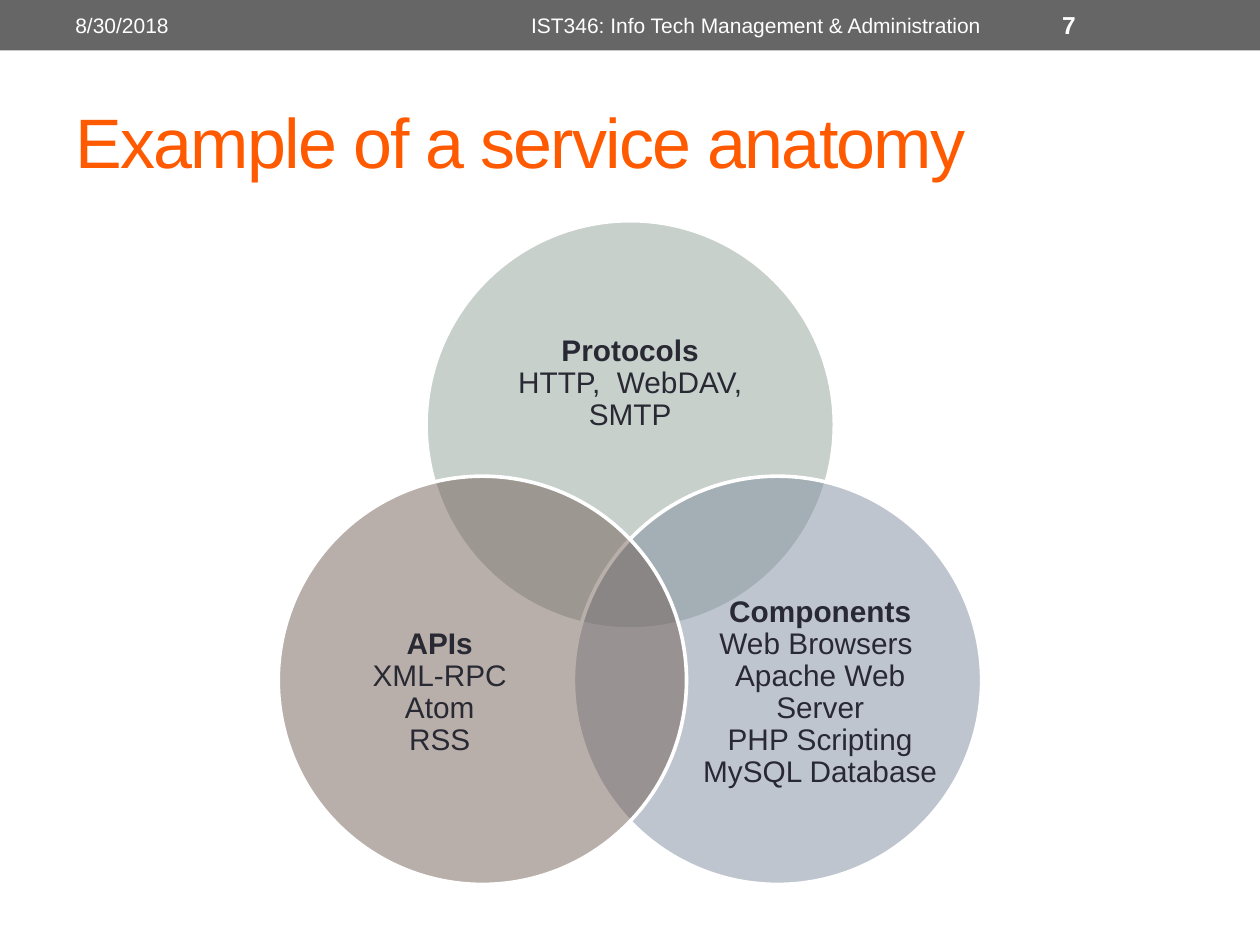
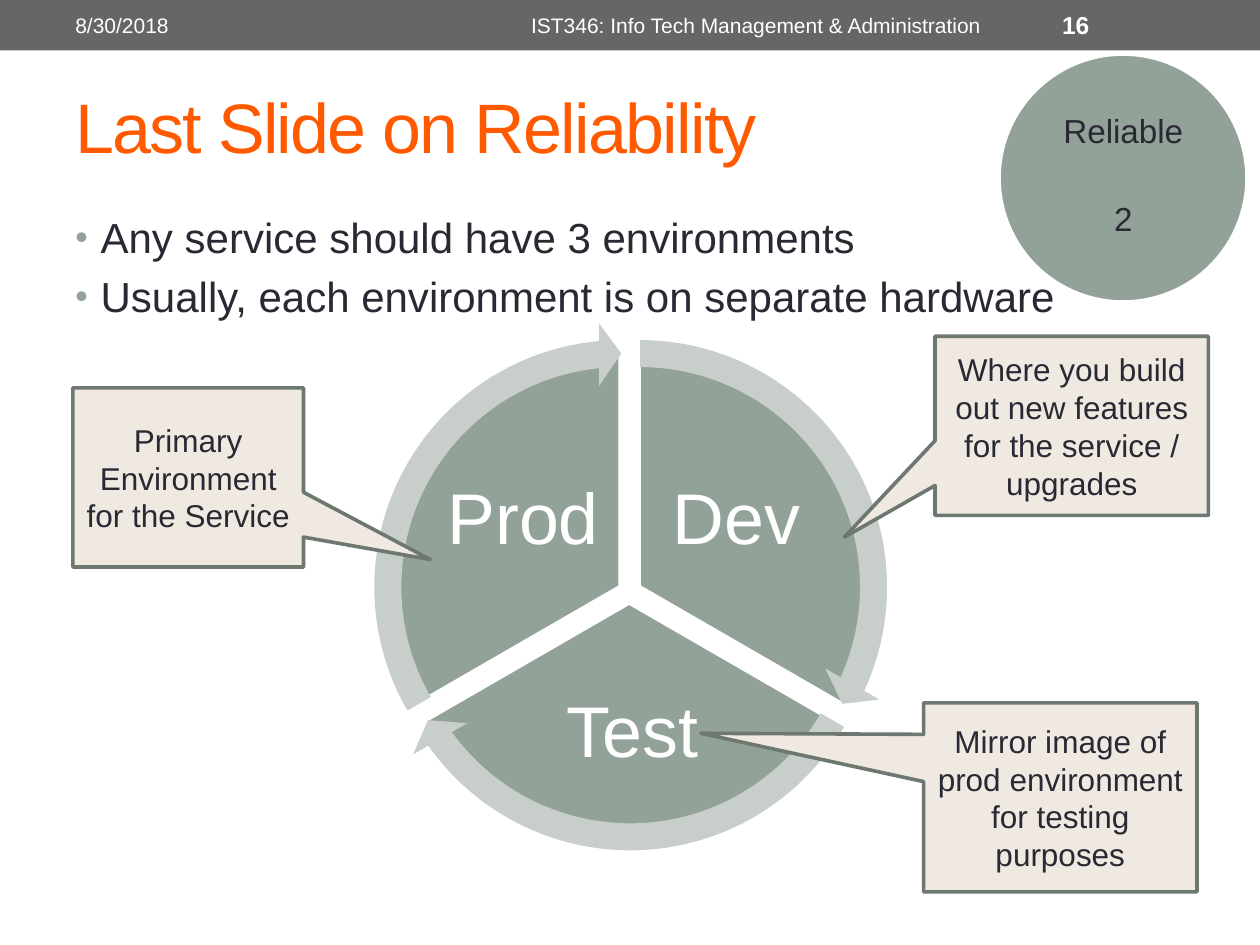
import lxml.etree
import pptx
import pptx.dml.color
import pptx.enum.shapes
import pptx.enum.text
import pptx.oxml.ns
import pptx.util

Cm = pptx.util.Cm
Pt = pptx.util.Pt
RGBColor = pptx.dml.color.RGBColor
MSO_SHAPE = pptx.enum.shapes.MSO_SHAPE
PP_ALIGN = pptx.enum.text.PP_ALIGN
MSO_ANCHOR = pptx.enum.text.MSO_ANCHOR
qn = pptx.oxml.ns.qn

FONT = "Arial"
WHITE = RGBColor(0xFF, 0xFF, 0xFF)
BAND = RGBColor(0x66, 0x66, 0x66)
ORANGE = RGBColor(0xFF, 0x5A, 0x00)
INK = RGBColor(0x29, 0x29, 0x34)
SAGE = RGBColor(0x93, 0xA2, 0x99)
SLATE = RGBColor(0x80, 0x8D, 0xA0)
BROWN = RGBColor(0x72, 0x60, 0x56)
PALE_SAGE = RGBColor(0xC8, 0xCE, 0xCA)
CREAM = RGBColor(0xEF, 0xE9, 0xE1)
CALLOUT_EDGE = RGBColor(0x6D, 0x78, 0x71)


def add_shape(s, kind, at, fill, line=None, adjustments=()):
    sp = s.shapes.add_shape(kind, *map(Cm, at))
    sp.shadow.inherit = False
    sp.fill.solid()
    sp.fill.fore_color.rgb = fill
    if line is None:
        sp.line.fill.background()
    else:
        sp.line.color.rgb = line
        sp.line.width = Pt(2.08)
    for i, value in enumerate(adjustments):
        sp.adjustments[i] = value
    return sp


def write(sp, paragraphs, size, color, align=PP_ALIGN.CENTER, inset=(0.25, 0.13), spacing=None):
    tf = sp.text_frame
    tf.word_wrap = True
    tf.auto_size = pptx.enum.text.MSO_AUTO_SIZE.NONE
    tf.vertical_anchor = MSO_ANCHOR.MIDDLE
    tf.margin_left = tf.margin_right = Cm(inset[0])
    tf.margin_top = tf.margin_bottom = Cm(inset[1])
    for i, text in enumerate(paragraphs):
        p = tf.add_paragraph() if i else tf.paragraphs[0]
        p.text = text
        p.alignment = align
        if spacing:
            p.line_spacing = spacing
        for br in p._p.findall(qn("a:br")):
            lxml.etree.SubElement(br, qn("a:rPr"), sz=str(size * 100))
        for r in p.runs:
            r.font.name = FONT
            r.font.size = Pt(size)
            r.font.color.rgb = color
    return tf


prs = pptx.Presentation()
prs.slide_width = Cm(25.4)
prs.slide_height = Cm(19.05)

slides = []
for title, title_height, number in (
    ("Example of a service anatomy", 2.74, "7"),
    ("Last Slide on Reliability", 2.13, "16"),
):
    s = prs.slides.add_slide(prs.slide_layouts[5])
    slides.append(s)
    add_shape(s, MSO_SHAPE.RECTANGLE, (0, 0, 25.4, 1.02), BAND)

    sp = s.shapes.title
    sp.left, sp.top, sp.width, sp.height = map(Cm, (1.27, 1.47, 22.86, title_height))
    tf = write(sp, [title], 40, ORANGE, PP_ALIGN.LEFT)
    tf.paragraphs[0].runs[0]._r.get_or_add_rPr().set("spc", "-100")

    for text, left, width, size, align in (
        ("8/30/2018", 1.27, 8.05, 12, PP_ALIGN.LEFT),
        ("IST346: Info Tech Management & Administration", 9.53, 11.43, 12, PP_ALIGN.CENTER),
        (number, 21.16, 2.97, 14, PP_ALIGN.LEFT),
    ):
        sp = s.shapes.add_textbox(Cm(left), Cm(0.05), Cm(width), Cm(0.91))
        tf = write(sp, [text], size, WHITE, align)
    tf.paragraphs[0].runs[0].font.bold = True

anatomy, reliability = slides

for left, top, color, text, text_at in (
    (8.59, 4.45, SAGE, "Protocols\vHTTP,  WebDAV,\vSMTP", (9.68, 5.89, 6.05, 3.71)),
    (11.56, 9.6, SLATE,
     "Components\vWeb Browsers \vApache Web Server\vPHP Scripting\vMySQL Database",
     (14.07, 11.71, 4.93, 4.52)),
    (5.61, 9.6, BROWN, "APIs\vXML-RPC\vAtom\vRSS", (6.4, 11.71, 4.93, 4.52)),
):
    sp = add_shape(anatomy, MSO_SHAPE.OVAL, (left, top, 8.23, 8.23), color, WHITE)
    clr = sp._element.spPr.find(qn("a:solidFill")).find(qn("a:srgbClr"))
    lxml.etree.SubElement(clr, qn("a:alpha"), val="50000")
    sp = anatomy.shapes.add_textbox(*map(Cm, text_at))
    tf = write(sp, [text], 17, INK, inset=(0, 0), spacing=0.9)
    tf.paragraphs[0].runs[0].font.bold = True

sp = reliability.shapes.add_textbox(Cm(1.27), Cm(4.14), Cm(22.86), Cm(7.72))
tf = write(sp, [
    "Any service should have 3 environments",
    "Usually, each environment is on separate hardware",
], 24, INK, PP_ALIGN.LEFT)
tf.vertical_anchor = MSO_ANCHOR.TOP
for p in tf.paragraphs:
    pPr = p._p.get_or_add_pPr()
    pPr.set("marL", str(Cm(0.51)))
    pPr.set("indent", str(-Cm(0.51)))
    buClr = lxml.etree.SubElement(pPr, qn("a:buClr"))
    lxml.etree.SubElement(buClr, qn("a:srgbClr"), val=str(SAGE))
    lxml.etree.SubElement(pPr, qn("a:buSzPct"), val="85000")
    lxml.etree.SubElement(pPr, qn("a:buFont"), typeface=FONT)
    lxml.etree.SubElement(pPr, qn("a:buChar"), char="•")
tf.paragraphs[1].space_before = Pt(4.8)

for text, left, top, angles, text_at in (
    ("Dev", 8.15, 7.09, (162, 18), (13.16, 9.09, 3.38, 2.82)),
    ("Test", 7.95, 7.42, (18, 90), (10.21, 13.56, 5.08, 2.49)),
    ("Prod", 7.77, 7.09, (90, 162), (8.86, 9.09, 3.38, 2.82)),
):
    add_shape(reliability, MSO_SHAPE.PIE, (left, top, 9.47, 9.47), SAGE, WHITE, angles)
    sp = reliability.shapes.add_textbox(*map(Cm, text_at))
    write(sp, [text], 41, WHITE, inset=(0.15, 0.15), spacing=0.9)

for left, top, end, start in (
    (7.57, 6.5, 14.73, 161.99),
    (7.37, 6.83, 86.72, 18),
    (7.19, 6.5, 158.73, 90),
):
    add_shape(reliability, MSO_SHAPE.CIRCULAR_ARROW, (left, top, 10.67, 10.67), PALE_SAGE,
              adjustments=(0.051, 3.275, end, start, 0.059))

for text, at, tip in (
    ("Primary Environment for the Service", (1.47, 7.82, 4.65, 3.61), (1.05, 0.459)),
    ("Where you build out new features for the service / upgrades",
     (18.85, 6.78, 5.51, 3.61), (-0.832, 0.622)),
    ("Mirror image of prod environment for testing purposes",
     (18.62, 14.17, 5.51, 3.81), (-1.315, -0.339)),
):
    sp = add_shape(reliability, MSO_SHAPE.RECTANGULAR_CALLOUT, at, CREAM, CALLOUT_EDGE, tip)
    write(sp, [text], 18, INK)

add_shape(reliability, MSO_SHAPE.OVAL, (20.14, 1.09, 5, 5), SAGE, WHITE)
sp = reliability.shapes.add_textbox(Cm(20.88), Cm(1.8), Cm(3.53), Cm(3.53))
tf = write(sp, ["Reliable", "2"], 19, INK, inset=(0.28, 0.08), spacing=0.9)
tf.paragraphs[0].space_after = Pt(30)

prs.save("out.pptx")
